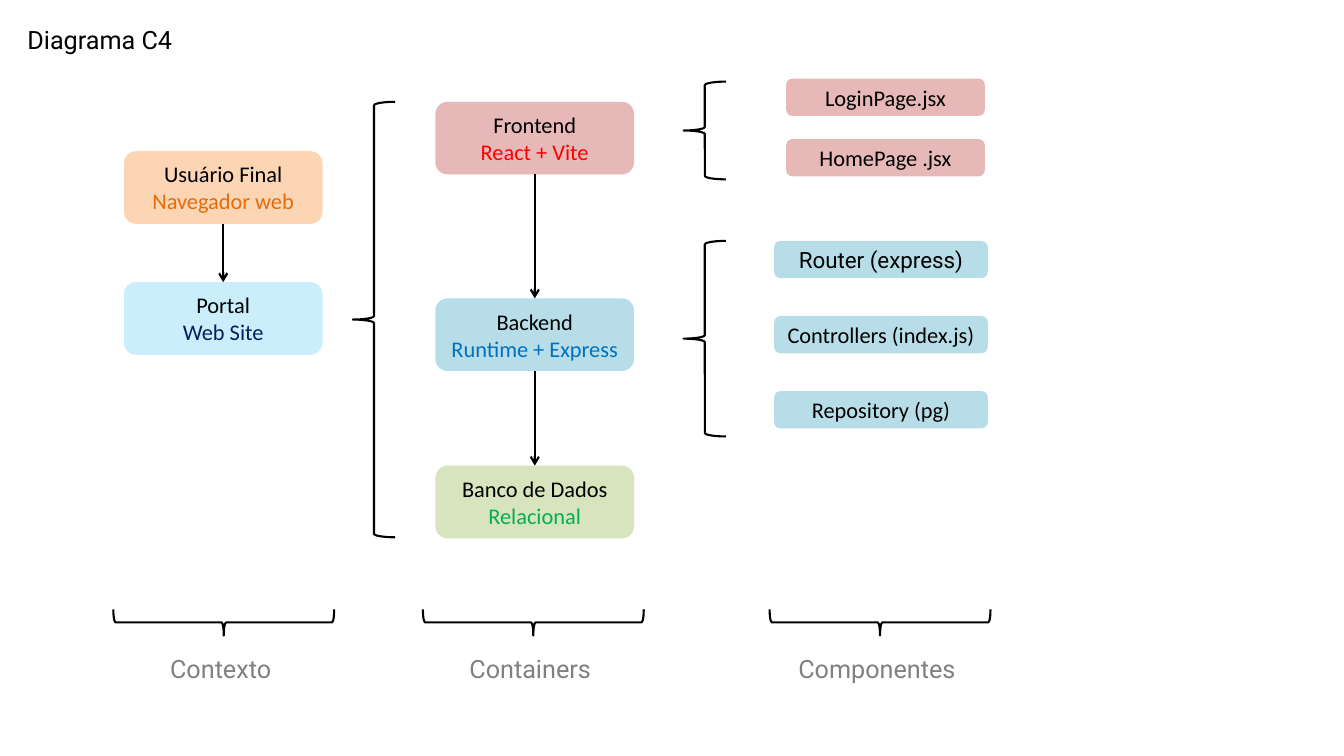
from lxml.etree import SubElement
from pptx import Presentation
from pptx.dml.color import RGBColor
from pptx.enum.shapes import MSO_CONNECTOR, MSO_SHAPE
from pptx.enum.text import MSO_ANCHOR, PP_ALIGN
from pptx.oxml.ns import qn
from pptx.util import Inches, Pt

THEME = {
    "ink": "000000", "label": "808080",
    "orange": "FCD5B5", "orange_text": "E46C0A",
    "sky": "CAEEFB", "navy_text": "002060",
    "pink": "E6B9B8", "red_text": "FF0000",
    "blue": "B7DEE8", "blue_text": "0070C0",
    "green": "D7E4BD", "green_text": "00B050",
    "body": "Calibri", "heading": "Roboto",
    "body_size": 16, "heading_size": 18, "line": 1.5,
}

deck = Presentation()
deck.slide_width, deck.slide_height = Inches(13.33), Inches(7.5)
page = deck.slides.add_slide(deck.slide_layouts[6])


def area(center, top, width, height):
    """Turn percentages of the slide into left, top, width and height."""
    across, down = deck.slide_width / 100, deck.slide_height / 100
    return (round((center - width / 2) * across), round(top * down),
            round(width * across), round(height * down))


def write(shape, lines, font, size, align=PP_ALIGN.CENTER):
    """Write one paragraph for each (text, colour) pair."""
    frame = shape.text_frame
    frame.word_wrap = True
    for index, (text, colour) in enumerate(lines):
        para = frame.add_paragraph() if index else frame.paragraphs[0]
        para.alignment = align
        span = para.add_run()
        span.text = text
        span.font.name, span.font.size = font, Pt(size)
        span.font.color.rgb = RGBColor.from_string(THEME[colour])


# Boxes: center, top, width, height, fill, font, lines
CONTEXT, CONTAINERS, PAGES, SERVICES = 16.61, 39.79, 65.89, 65.55
BOX_WIDTH, SERVICE_WIDTH = 14.78, 15.9
BOX_HEIGHT, PART_HEIGHT = 9.6, 4.93
SERVICE_TOP, SERVICE_STEP = 31.87, 9.93

boxes = [
    (center, top, BOX_WIDTH, BOX_HEIGHT, fill, THEME["body"],
     [(name, "ink"), (detail, detail_colour)])
    for center, top, fill, name, detail, detail_colour in [
        (CONTEXT, 20, "orange", "Usuário Final", "Navegador web", "orange_text"),
        (CONTEXT, 37.33, "sky", "Portal", "Web Site", "navy_text"),
        (CONTAINERS, 13.47, "pink", "Frontend", "React + Vite", "red_text"),
        (CONTAINERS, 39.47, "blue", "Backend", "Runtime + Express", "blue_text"),
        (CONTAINERS, 61.6, "green", "Banco de Dados", "Relacional", "green_text"),
    ]
]
for row, name in enumerate(["LoginPage.jsx", "HomePage .jsx"]):
    boxes.append((PAGES, 10.4 + 8 * row, BOX_WIDTH, PART_HEIGHT, "pink",
                  THEME["body"], [(name, "ink")]))
for row, (name, font) in enumerate([("Router (express)", "heading"),
                                    ("Controllers (index.js)", "body"),
                                    ("Repository (pg)", "body")]):
    boxes.append((SERVICES, SERVICE_TOP + SERVICE_STEP * row, SERVICE_WIDTH,
                  PART_HEIGHT, "blue", THEME[font], [(name, "ink")]))

drawn = {}
for center, top, width, height, fill, font, lines in boxes:
    box = page.shapes.add_shape(MSO_SHAPE.ROUNDED_RECTANGLE,
                                *area(center, top, width, height))
    box.shadow.inherit = False
    box.fill.solid()
    box.fill.fore_color.rgb = RGBColor.from_string(THEME[fill])
    box.line.fill.background()
    box.text_frame.vertical_anchor = MSO_ANCHOR.MIDDLE
    write(box, lines, font, THEME["body_size"])
    drawn[lines[0][0]] = box

# Arrows from the bottom of one box to the top of the next
for upper, lower in [("Usuário Final", "Portal"), ("Frontend", "Backend"),
                     ("Backend", "Banco de Dados")]:
    arrow = page.shapes.add_connector(MSO_CONNECTOR.STRAIGHT, 0, 0, 0, 0)
    arrow.begin_connect(drawn[upper], 2)
    arrow.end_connect(drawn[lower], 0)
    arrow.line.color.rgb = RGBColor.from_string(THEME["ink"])
    arrow.line.width = Pt(THEME["line"])
    SubElement(arrow.line._get_or_add_ln(), qn("a:tailEnd"), type="arrow")
    SubElement(arrow._element.spPr, qn("a:effectLst"))

# Braces: center, top, width, height, rotation
LEVELS = [("Contexto", 16.65), ("Containers", 39.68), ("Componentes", 65.48)]
braces = [
    (27.83, 13.47, 3.15, 57.6, 0),
    (52.44, 10.8, 3.15, 12.93, 0),
    (52.44, SERVICE_TOP, 3.15, 25.87, 0),
]
braces += [(center, 67.73, 1.95, 29.2, 270) for _, center in LEVELS]
for center, top, width, height, rotation in braces:
    brace = page.shapes.add_shape(MSO_SHAPE.LEFT_BRACE,
                                  *area(center, top, width, height))
    brace.rotation = rotation
    brace.shadow.inherit = False
    brace.fill.background()
    brace.line.color.rgb = RGBColor.from_string(THEME["ink"])
    brace.line.width = Pt(THEME["line"])

# Title and level names
title = page.shapes.add_textbox(*area(26.3, 2.53, 50, 5.33))
write(title, [("Diagrama C4", "ink")], THEME["heading"],
      THEME["heading_size"], PP_ALIGN.LEFT)
for name, center in LEVELS:
    label = page.shapes.add_textbox(*area(center - 0.23, 85.73, 16, 5.33))
    write(label, [(name, "label")], THEME["heading"], THEME["heading_size"])

deck.save("out.pptx")
